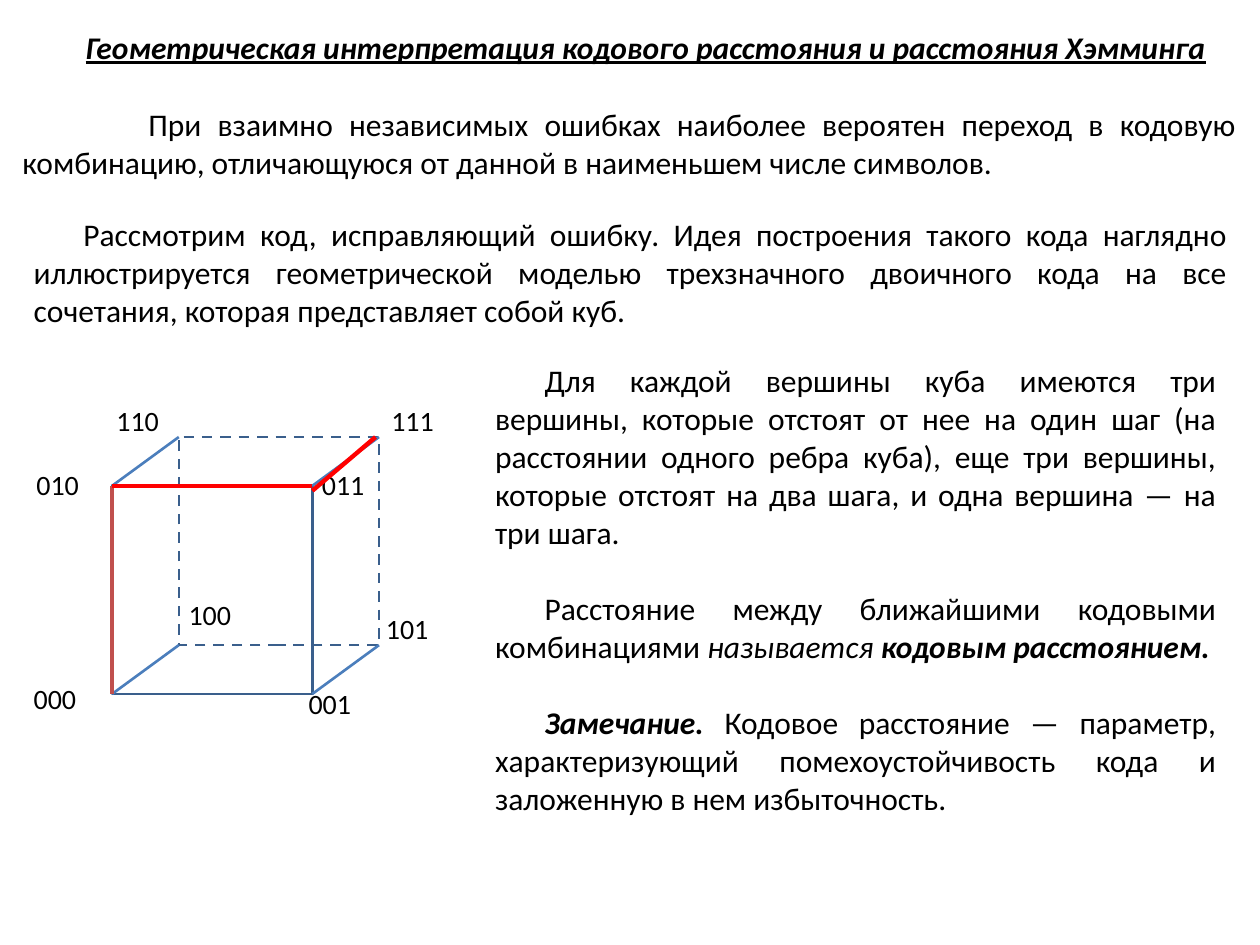
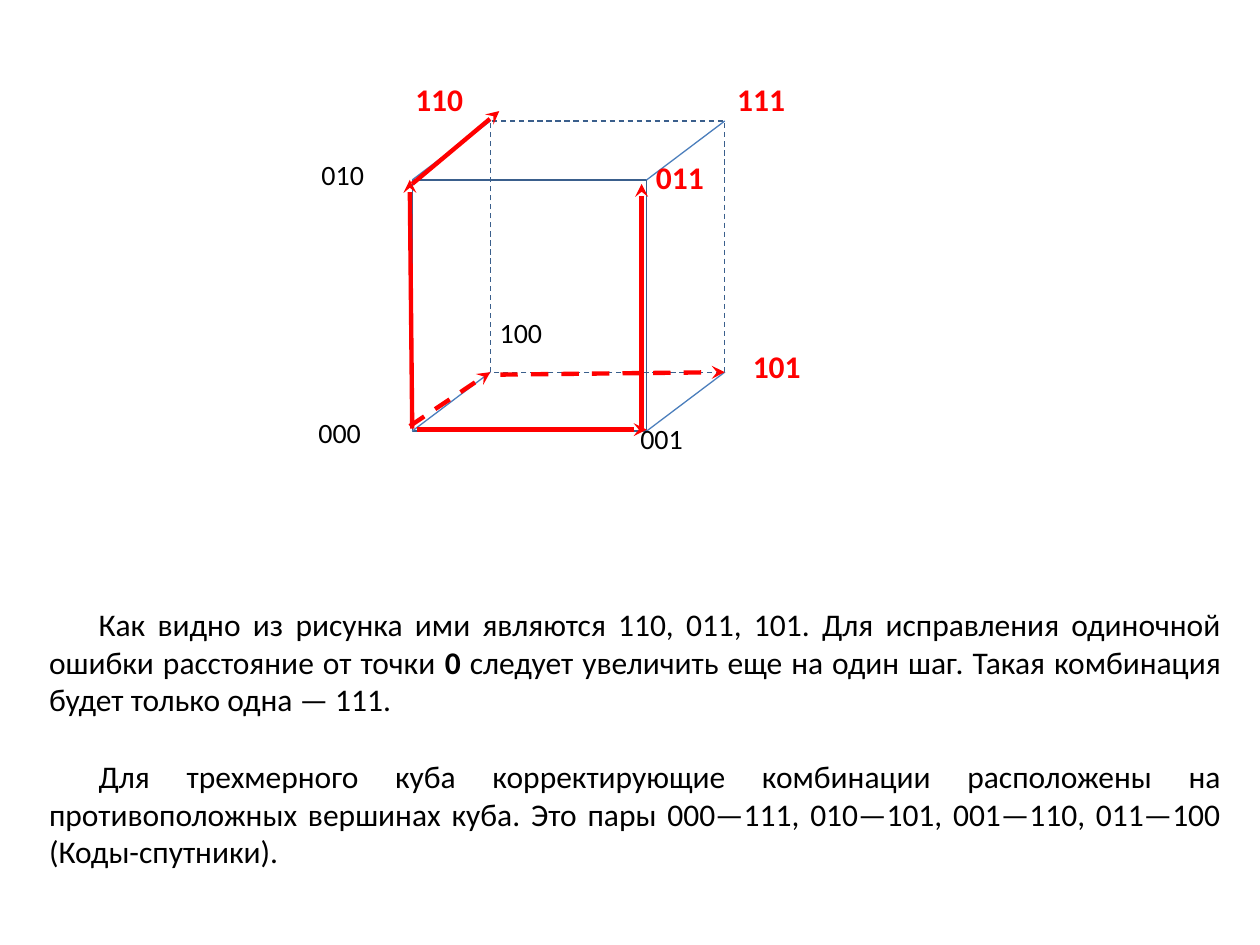
from dataclasses import dataclass

from lxml import etree
from pptx import Presentation
from pptx.dml.color import RGBColor
from pptx.enum.dml import MSO_LINE
from pptx.enum.shapes import MSO_CONNECTOR, MSO_SHAPE
from pptx.enum.text import MSO_ANCHOR, MSO_AUTO_SIZE, PP_ALIGN
from pptx.oxml.ns import qn
from pptx.util import Cm, Pt

STRAIGHT = MSO_CONNECTOR.STRAIGHT
RECTANGLE = MSO_SHAPE.RECTANGLE
DASH = MSO_LINE.DASH
TOP = MSO_ANCHOR.TOP
FIXED = MSO_AUTO_SIZE.NONE
LEFT = PP_ALIGN.LEFT
JUSTIFY = PP_ALIGN.JUSTIFY
TITLE_ONLY, BLANK = 5, 6


@dataclass(frozen=True)
class Theme:
    font: str = "Calibri"
    text: str = "000000"
    face: str = "3A5F8C"
    edge: str = "4B7EBC"
    accent: str = "FF0000"
    muted_accent: str = "C0504D"
    body_size: float = 18
    label_size: float = 16
    paragraph_gap: float = 22
    route_width: float = 2.5
    indent: float = 1


THEME = Theme()


@dataclass(frozen=True)
class Route:
    start: str
    end: str
    start_shift: tuple = (0, 0)
    end_shift: tuple = (0, 0)
    color: str = THEME.accent
    width: float = THEME.route_width
    dashed: bool = False
    arrow: bool = False


FACE_WIDTH, FACE_HEIGHT = 0.75, 0.81
LABEL_WIDTH, LABEL_HEIGHT = 0.31, 0.22
LABEL_OFFSETS = {
    "000": (-0.34, -0.07),
    "010": (-0.33, -0.09),
    "001": (-0.06, -0.05),
    "110": (-0.28, -0.15),
    "101": (-0.02, -0.15),
    "011": (-0.01, -0.09),
    "111": (0, -0.15),
    "100": (-0.01, -0.2),
}


def add_run(paragraph, text, style="", size=THEME.body_size, color=THEME.text):
    run = paragraph.add_run()
    run.text = text
    font = run.font
    font.name, font.size = THEME.font, Pt(size)
    font.color.rgb = RGBColor.from_string(color)
    font.bold, font.italic, font.underline = (key in style for key in "biu")


def prepare_frame(shape, wrap=True):
    frame = shape.text_frame
    frame.auto_size = FIXED
    frame.word_wrap = wrap
    frame.vertical_anchor = TOP
    return frame


def add_title(slide, box, text):
    title = slide.shapes.title
    title.left, title.top, title.width, title.height = map(Cm, box)
    paragraph = prepare_frame(title, wrap=False).paragraphs[0]
    paragraph.alignment = LEFT
    add_run(paragraph, text, "biu")


def add_body(slide, box, paragraphs, indent=THEME.indent):
    frame = prepare_frame(slide.shapes.add_textbox(*map(Cm, box)))
    for index, runs in enumerate(paragraphs):
        paragraph = frame.add_paragraph() if index else frame.paragraphs[0]
        paragraph.alignment = JUSTIFY
        paragraph.space_before = Pt(THEME.paragraph_gap if index else 0)
        properties = paragraph._p.get_or_add_pPr()
        properties.set("marL", "0")
        properties.set("indent", str(Cm(indent)))
        for text, style in runs:
            add_run(paragraph, text, style)


def format_line(line, color, width, dashed=False):
    line.color.rgb = RGBColor.from_string(color)
    line.width = Pt(width)
    if dashed:
        line.dash_style = DASH


def add_line(shapes, start, end, color, width, dashed=False, arrow=False):
    connector = shapes.add_connector(STRAIGHT, *map(Cm, (*start, *end)))
    format_line(connector.line, color, width, dashed)
    properties = connector._element.spPr
    if arrow:
        etree.SubElement(properties.find(qn("a:ln")), qn("a:tailEnd"), type="stealth")
    etree.SubElement(properties, qn("a:effectLst"))


def add_face(shapes, box, width, dashed):
    face = shapes.add_shape(RECTANGLE, *map(Cm, box))
    face.shadow.inherit = False
    face.fill.background()
    format_line(face.line, THEME.face, width, dashed)


def add_cube(slide, box, line_width, routes, highlighted=(), moved_labels=None):
    left, top, width, height = box
    face_width, face_height = width * FACE_WIDTH, height * FACE_HEIGHT
    shapes = slide.shapes.add_group_shape().shapes

    def vertex(code, shift=(0, 0)):
        back, up, right = map(int, code)
        x = left + right * face_width + back * (width - face_width)
        y = top + height - up * face_height - back * (height - face_height)
        return x + shift[0], y + shift[1]

    for corner, dashed in (("010", False), ("110", True)):
        add_face(shapes, (*vertex(corner), face_width, face_height), line_width, dashed)
    for side in ("01", "00", "10", "11"):
        add_line(shapes, vertex("0" + side), vertex("1" + side), THEME.edge, line_width)

    for code, offset in {**LABEL_OFFSETS, **(moved_labels or {})}.items():
        x, y = vertex(code, [part * width for part in offset])
        label_box = (x, y, width * LABEL_WIDTH, width * LABEL_HEIGHT)
        label = shapes.add_textbox(*map(Cm, label_box))
        paragraph = prepare_frame(label).paragraphs[0]
        if code in highlighted:
            add_run(paragraph, code, "b", color=THEME.accent)
        else:
            add_run(paragraph, code, size=THEME.label_size)

    for route in routes:
        add_line(shapes, vertex(route.start, route.start_shift),
                 vertex(route.end, route.end_shift),
                 route.color, route.width, route.dashed, route.arrow)


def build_distance_slide(presentation):
    slide = presentation.slides.add_slide(presentation.slide_layouts[TITLE_ONLY])
    add_title(slide, (1.47, 0.43, 23.37, 1.02),
              "Геометрическая интерпретация кодового расстояния и расстояния Хэмминга")
    add_body(slide, (0.2, 2, 24.97, 1.8), [[
        ("При взаимно независимых ошибках наиболее вероятен переход в кодовую "
         "комбинацию, отличающуюся от данной в наименьшем числе символов.", ""),
    ]], indent=2.54)
    add_body(slide, (0.43, 4.22, 24.56, 2.57), [[
        ("Рассмотрим код, исправляющий ошибку. Идея построения такого кода наглядно "
         "иллюстрируется геометрической моделью трехзначного двоичного кода на все "
         "сочетания, которая представляет собой куб.", ""),
    ]])
    add_cube(slide, (2.26, 8.81, 5.38, 5.18), 1.5, [
        Route("010", "000", color=THEME.muted_accent, width=2),
        Route("010", "011"),
        Route("011", "111", (0, 0.1), (-0.07, 0)),
    ])
    add_body(slide, (9.73, 7.16, 15.04, 9.5), [
        [("Для каждой вершины куба имеются три вершины, которые отстоят от нее на "
          "один шаг (на расстоянии одного ребра куба), еще три вершины, которые "
          "отстоят на два шага, и одна вершина — на три шага.", "")],
        [("Расстояние между ближайшими кодовыми комбинациями ", ""),
         ("называется ", "i"),
         ("кодовым расстоянием.", "bi")],
        [("Замечание. ", "bi"),
         ("Кодовое расстояние — параметр, характеризующий помехоустойчивость кода "
          "и заложенную в нем избыточность.", "")],
    ])


def build_correction_slide(presentation):
    slide = presentation.slides.add_slide(presentation.slide_layouts[BLANK])
    add_body(slide, (0.74, 12.07, 24.13, 5.64), [
        [("Как видно из рисунка ими являются 110, 011, 101. Для исправления "
          "одиночной ошибки расстояние от точки ", ""),
         ("0 ", "b"),
         ("следует увеличить еще на один шаг. Такая комбинация будет только "
          "одна — 111.", "")],
        [("Для трехмерного куба корректирующие комбинации расположены на "
          "противоположных вершинах куба. Это пары 000—111, 010—101, 001—110, "
          "011—100 (Коды-спутники).", "")],
    ])
    add_cube(slide, (8.31, 2.44, 6.3, 6.25), 0.75, [
        Route("000", "001", (0.1, -0.03), (0, -0.03), arrow=True),
        Route("000", "010", (0, -0.05), (-0.05, 0), arrow=True),
        Route("000", "100", (-0.05, -0.1), dashed=True, arrow=True),
        Route("001", "011", (-0.1, 0), (-0.1, 0.08), arrow=True),
        Route("010", "110", (0, 0.08), (0.18, -0.2), arrow=True),
        Route("100", "101", (0.2, 0.05), dashed=True, arrow=True),
    ], highlighted=("110", "101", "011", "111"), moved_labels={"101": (0.05, -0.1)})


presentation = Presentation()
presentation.slide_width, presentation.slide_height = Cm(25.4), Cm(19.05)
build_distance_slide(presentation)
build_correction_slide(presentation)
presentation.save("out.pptx")
